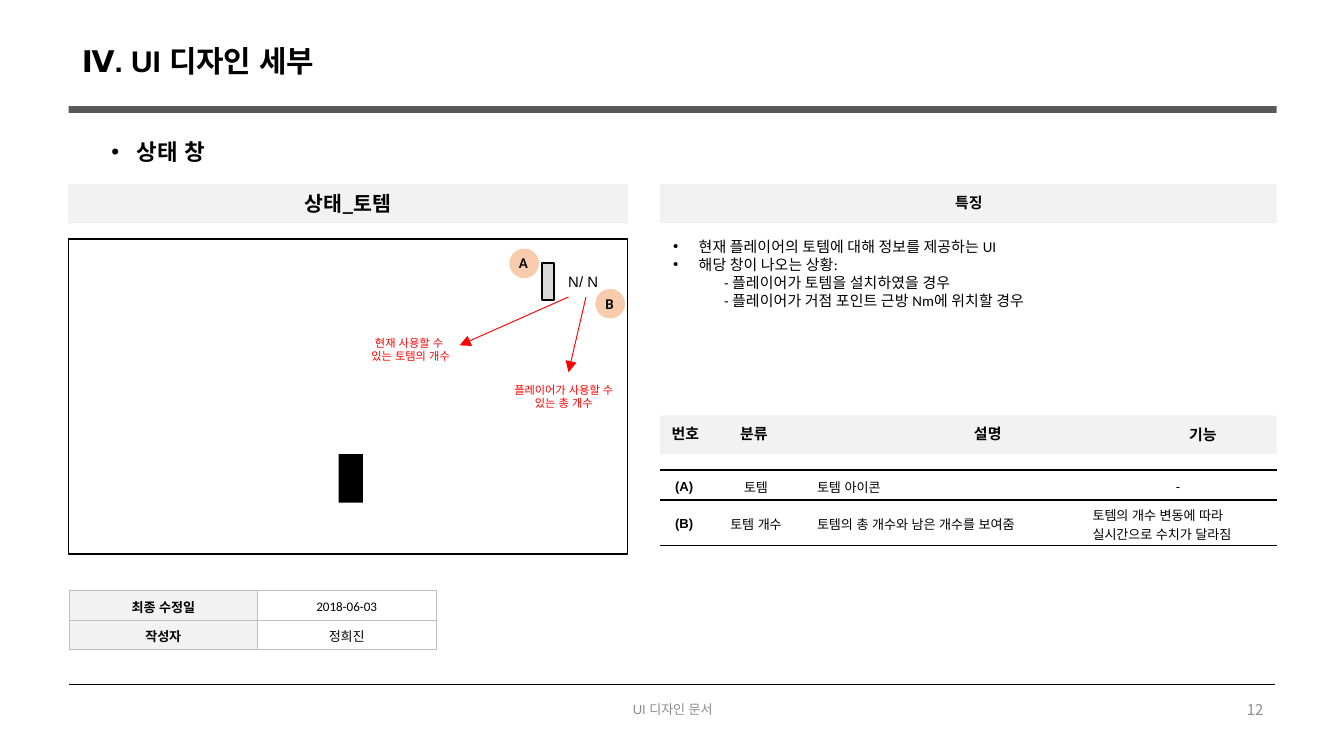
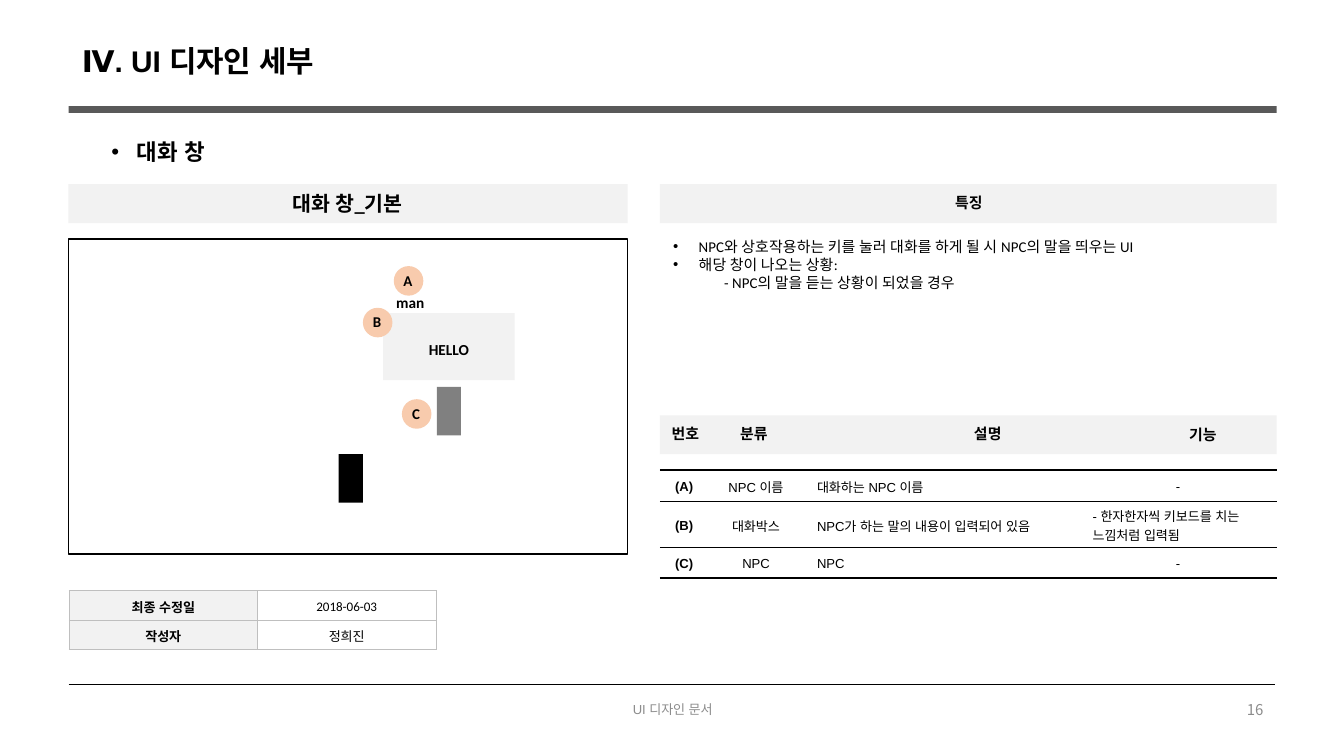
"""Build two UI design pages: the totem status view and the dialogue view."""
from dataclasses import dataclass

from lxml import etree
from pptx import Presentation
from pptx import util as u
from pptx.dml.color import RGBColor
from pptx.enum import lang, shapes, text
from pptx.oxml import ns

COLUMNS = 1000                      # the slide is 1000 columns wide, 16:9
ROWS = COLUMNS * 9 / 16
CELL = u.Inches(10) // COLUMNS      # square grid cell
LEFT, RIGHT = 51, 950
SCREEN_W = 416                      # width of the left half
SPEC_X = 491                        # start of the right half
SPEC_W = RIGHT - SPEC_X
BAND_H = 29
PAD_X, PAD_Y = 10, 5                # text insets
CELL_TOP, CELL_BOTTOM = 4, 2
INDENT = 19
CENTER, LEFT_AL, RIGHT_AL = (
    text.PP_ALIGN.CENTER, text.PP_ALIGN.LEFT, text.PP_ALIGN.RIGHT)
TOP, MIDDLE = text.MSO_ANCHOR.TOP, text.MSO_ANCHOR.MIDDLE


@dataclass(frozen=True)
class Theme:
    """Colours, fonts and type sizes of the document."""
    ink: str = "000000"
    rule: str = "595959"
    band: str = "F2F2F2"
    icon: str = "D9D9D9"
    npc: str = "808080"
    border: str = "BFBFBF"
    muted: str = "8C8C8C"
    marker: str = "F8CBAD"
    note: str = "FF0000"
    head: str = "Arial"
    body: str = "Calibri"
    korean: str = "Noto Sans CJK KR"
    title: float = 16
    section: float = 12
    view: float = 11
    speech: float = 8.2
    copy: float = 8
    cell: float = 7
    small: float = 6
    thin: float = 0.5
    thick: float = 1


T = Theme()


def grid(*cells):
    """Turn grid counts into slide lengths."""
    return [u.Emu(round(count * CELL)) for count in cells]


def rgb(colour):
    """Give the colour object of a hex value."""
    return RGBColor.from_string(colour)


def write(paragraph, words, size, font=T.head, colour=T.ink, bold=False,
          align=LEFT_AL, asian=None):
    """Add one formatted run to a paragraph."""
    paragraph.alignment = align
    run = paragraph.add_run()
    run.text = words
    run.font.size = u.Pt(size)
    run.font.bold = bold
    run.font.color.rgb = rgb(colour)
    run.font.name = font
    run.font.language_id = lang.MSO_LANGUAGE_ID.KOREAN
    etree.SubElement(run.font._element, ns.qn("a:ea"), typeface=asian or font)


def set_indent(paragraph, margin, hanging=0, bullet=None):
    """Set the left margin and an optional hanging bullet."""
    props = paragraph._p.get_or_add_pPr()
    margin, hanging = grid(margin, hanging)
    props.set("marL", str(margin))
    props.set("indent", str(-hanging))
    if bullet:
        etree.SubElement(props, ns.qn("a:buFont"), typeface="Arial")
        etree.SubElement(props, ns.qn("a:buChar"), char=bullet)


def set_frame(frame, anchor=TOP, pad_y=PAD_Y):
    """Wrap a text frame and set its insets and anchor."""
    frame.word_wrap = True
    frame.auto_size = text.MSO_AUTO_SIZE.NONE
    frame.vertical_anchor = anchor
    frame.margin_left, frame.margin_right = grid(PAD_X, PAD_X)
    frame.margin_top, frame.margin_bottom = grid(pad_y, pad_y)


def add_label(parent, box, lines, size, anchor=TOP, **style):
    """Add a text box with one paragraph per line."""
    frame = parent.shapes.add_textbox(*grid(*box)).text_frame
    set_frame(frame, anchor)
    for i, words in enumerate(lines):
        paragraph = frame.add_paragraph() if i else frame.paragraphs[0]
        write(paragraph, words, size, **style)
    return frame


def add_block(parent, box, fill=None, outline=False, words=None,
              kind=shapes.MSO_SHAPE.RECTANGLE):
    """Add a preset shape, with a bold centred heading if given."""
    block = parent.shapes.add_shape(kind, *grid(*box))
    block.shadow.inherit = False
    if fill:
        block.fill.solid()
        block.fill.fore_color.rgb = rgb(fill)
    else:
        block.fill.background()
    if outline:
        block.line.color.rgb = rgb(T.ink)
        block.line.width = u.Pt(T.thick)
    else:
        block.line.fill.background()
    if words:
        set_frame(block.text_frame, MIDDLE, 0)
        write(block.text_frame.paragraphs[0], words, T.view, T.body,
              bold=True, align=CENTER)


def add_marker(slide, x, y, letter):
    """Group a disc and a letter that point out a part of the view."""
    marker = slide.shapes.add_group_shape()
    add_block(marker, (x, y, 22, 22), T.marker, kind=shapes.MSO_SHAPE.OVAL)
    frame = add_label(marker, (x + 3, y - 1, 15, 24), [letter], T.copy,
                      font=T.body, bold=True, align=CENTER)
    frame.margin_left = frame.margin_right = 0


def add_line(slide, start, end, colour=T.ink, width=T.thin, arrow=False):
    """Add a straight line, optionally ending in an arrowhead."""
    line = slide.shapes.add_connector(
        shapes.MSO_CONNECTOR.STRAIGHT, *grid(*start, *end))
    line.line.color.rgb = rgb(colour)
    line.line.width = u.Pt(width)
    if arrow:
        etree.SubElement(line.line._get_or_add_ln(), ns.qn("a:tailEnd"),
                         type="triangle")
    etree.SubElement(line._element.spPr, ns.qn("a:effectLst"))


def set_borders(cell, colour, **widths):
    """Draw the named sides (L, R, T, B) of a cell and clear the others."""
    props = cell._tc.get_or_add_tcPr()
    for i, side in enumerate("LRTB"):
        width = widths.get(side, 0)
        edge = etree.Element(ns.qn(f"a:ln{side}"), w=str(u.Pt(width)))
        if width:
            fill = etree.SubElement(edge, ns.qn("a:solidFill"))
            etree.SubElement(fill, ns.qn("a:srgbClr"), val=colour)
        else:
            etree.SubElement(edge, ns.qn("a:noFill"))
        props.insert(i, edge)


def add_grid_table(slide, x, y, widths, heights):
    """Add a table without style bands and with tight cells."""
    box = grid(x, y, sum(widths), sum(heights))
    table = slide.shapes.add_table(len(heights), len(widths), *box).table
    table.first_row = table.horz_banding = False
    for column, width in zip(table.columns, grid(*widths)):
        column.width = width
    for row, height in zip(table.rows, grid(*heights)):
        row.height = height
        for cell in row.cells:
            cell.vertical_anchor = MIDDLE
            cell.margin_left, cell.margin_right = grid(PAD_X, PAD_X)
            cell.margin_top, cell.margin_bottom = grid(CELL_TOP, CELL_BOTTOM)
            cell.fill.background()
    return table


def add_revision_table(slide):
    """Add the date and author table."""
    table = add_grid_table(slide, 51.5, 439.5, (140, 133), (22, 22))
    entries = (("최종 수정일", "2018-06-03"), ("작성자", "정희진"))
    for row, entry in zip(table.rows, entries):
        for i, (cell, words) in enumerate(zip(row.cells, entry)):
            is_name = i == 0
            if is_name:
                cell.fill.solid()
                cell.fill.fore_color.rgb = rgb(T.band)
            write(cell.text_frame.paragraphs[0], words, T.cell, T.body,
                  bold=is_name, align=CENTER, asian=T.korean)
            set_borders(cell, T.border, **dict.fromkeys("LRTB", T.thin))


def add_parts_table(slide, parts, heights, inner):
    """Add the part list; its closing row stays blank."""
    table = add_grid_table(slide, SPEC_X, 350, (36, 71, 205, 147), heights)
    last = len(parts)
    for r, row in enumerate(table.rows):
        above = T.thick if r in (0, last) else inner
        below = T.thick if r == last - 1 else inner
        for c, cell in enumerate(row.cells):
            paragraph = cell.text_frame.paragraphs[0]
            if r == last:
                etree.SubElement(paragraph._p, ns.qn("a:endParaRPr"),
                                 sz=str(T.cell * 100))
                set_borders(cell, T.ink, T=above)
                continue
            words = parts[r][c]
            if c == 0:
                cell.margin_left = cell.margin_right = 0
            centred = c < 2 or words == "-"
            write(paragraph, words, T.cell, bold=c == 0, asian=T.korean,
                  align=CENTER if centred else LEFT_AL)
            set_borders(cell, T.ink, T=above, B=below)


def add_features(slide, points, cases):
    """Add bulleted points followed by indented cases."""
    height = 13.5 * (len(points) + len(cases)) + 2 * PAD_Y
    frame = add_label(slide, (SPEC_X, 172, 458, height), points + cases,
                      T.copy, font=T.body)
    for i, paragraph in enumerate(frame.paragraphs):
        if i < len(points):
            set_indent(paragraph, INDENT, INDENT, "•")
        else:
            paragraph.level = 1
            set_indent(paragraph, 2 * INDENT)


def add_page(deck, section, view, number):
    """Add a page with all that the pages share."""
    slide = deck.slides.add_slide(deck.slide_layouts[5])
    title = slide.shapes.title
    title.left, title.top, title.width, title.height = grid(LEFT, 27, 227, 37)
    set_frame(title.text_frame)
    write(title.text_frame.paragraphs[0], "Ⅳ. UI 디자인 세부", T.title,
          bold=True)
    add_block(slide, (LEFT, 79, RIGHT - LEFT, 5), T.rule)
    heading = add_label(slide, (73, 98, 226, 30), [section], T.section,
                        bold=True)
    set_indent(heading.paragraphs[0], INDENT, INDENT, "•")

    add_block(slide, (LEFT, 137, SCREEN_W, BAND_H), T.band, words=view)
    add_block(slide, (LEFT, 178, SCREEN_W, 234), outline=True)
    add_block(slide, (252, 338, 18, 36), T.ink)
    add_revision_table(slide)

    for y in (137, 309):
        add_block(slide, (SPEC_X, y, SPEC_W, BAND_H), T.band)
    for x, y, words in ((690, 139, "특징"), (479, 311, "번호"),
                        (530, 311, "분류"), (704, 311, "설명"),
                        (864, 312, "기능")):
        add_label(slide, (x, y, 62, 24), [words], T.copy, bold=True,
                  align=CENTER)
    add_line(slide, (SPEC_X, 350), (RIGHT, 350), width=T.thick)

    add_line(slide, (LEFT, 509.5), (949, 509.5))
    add_label(slide, (342, 513, 317, 30), ["UI 디자인 문서"], T.cell, MIDDLE,
              colour=T.muted, align=CENTER)
    add_label(slide, (717, 513, 233, 30), [number], T.copy, MIDDLE,
              font=T.korean, colour=T.muted, align=RIGHT_AL)
    return slide


def build_totem_page(deck):
    """Build the page on the totem counter."""
    slide = add_page(deck, "상태 창", "상태_토템", "12")
    add_block(slide, (403, 196, 9, 27), T.icon, outline=True)
    add_label(slide, (413, 198, 46, 24), ["N/ N"], T.copy)
    add_marker(slide, 379, 185, "A")
    add_marker(slide, 443, 215, "B")
    notes = (
        ((423, 221), (342, 257), (252, 245),
         ["현재 사용할 수 ", "있는 토템의 개수"]),
        ((436, 221), (423, 277), (366, 280),
         ["플레이어가 사용할 수 있는 총 개수"]),
    )
    for start, end, corner, lines in notes:
        add_line(slide, start, end, T.note, arrow=True)
        add_label(slide, (*corner, 107, 30), lines, T.small, colour=T.note,
                  align=CENTER)
    add_features(
        slide,
        ["현재 플레이어의 토템에 대해 정보를 제공하는 UI",
         "해당 창이 나오는 상황:"],
        ["- 플레이어가 토템을 설치하였을 경우",
         "- 플레이어가 거점 포인트 근방 Nm에 위치할 경우"])
    parts = (("(A)", "토템", "토템 아이콘", "-"),
             ("(B)", "토템 개수", "토템의 총 개수와 남은 개수를 보여줌",
              "토템의 개수 변동에 따라 실시간으로 수치가 달라짐"))
    add_parts_table(slide, parts, (22, 34, 22), T.thick)


def build_dialogue_page(deck):
    """Build the page on the dialogue box."""
    slide = add_page(deck, "대화 창", "대화 창_기본", "16")
    add_block(slide, (325, 288, 18, 36), T.npc)
    add_block(slide, (285, 233, 98, 50), T.band)
    for box, words, align in (((308, 248, 52, 38), "HELLO", CENTER),
                              ((285, 213, 46, 24), "man", LEFT_AL)):
        add_label(slide, box, [words], T.speech, font=T.body, bold=True,
                  align=align)
    for x, y, letter in ((293, 198, "A"), (270, 229, "B"), (299, 297, "C")):
        add_marker(slide, x, y, letter)
    add_features(
        slide,
        ["NPC와 상호작용하는 키를 눌러 대화를 하게 될 시 NPC의 말을 띄우는 UI",
         "해당 창이 나오는 상황:"],
        ["- NPC의 말을 듣는 상황이 되었을 경우"])
    parts = (("(A)", "NPC 이름", "대화하는 NPC 이름", "-"),
             ("(B)", "대화박스", "NPC가 하는 말의 내용이 입력되어 있음",
              "- 한자한자씩 키보드를 치는 느낌처럼 입력됨"),
             ("(C)", "NPC", "NPC", "-"))
    add_parts_table(slide, parts, (23, 33, 23, 23), T.thin)


def main():
    """Build and save the deck."""
    deck = Presentation()
    deck.slide_width, deck.slide_height = grid(COLUMNS, ROWS)
    build_totem_page(deck)
    build_dialogue_page(deck)
    deck.save("out.pptx")


main()
